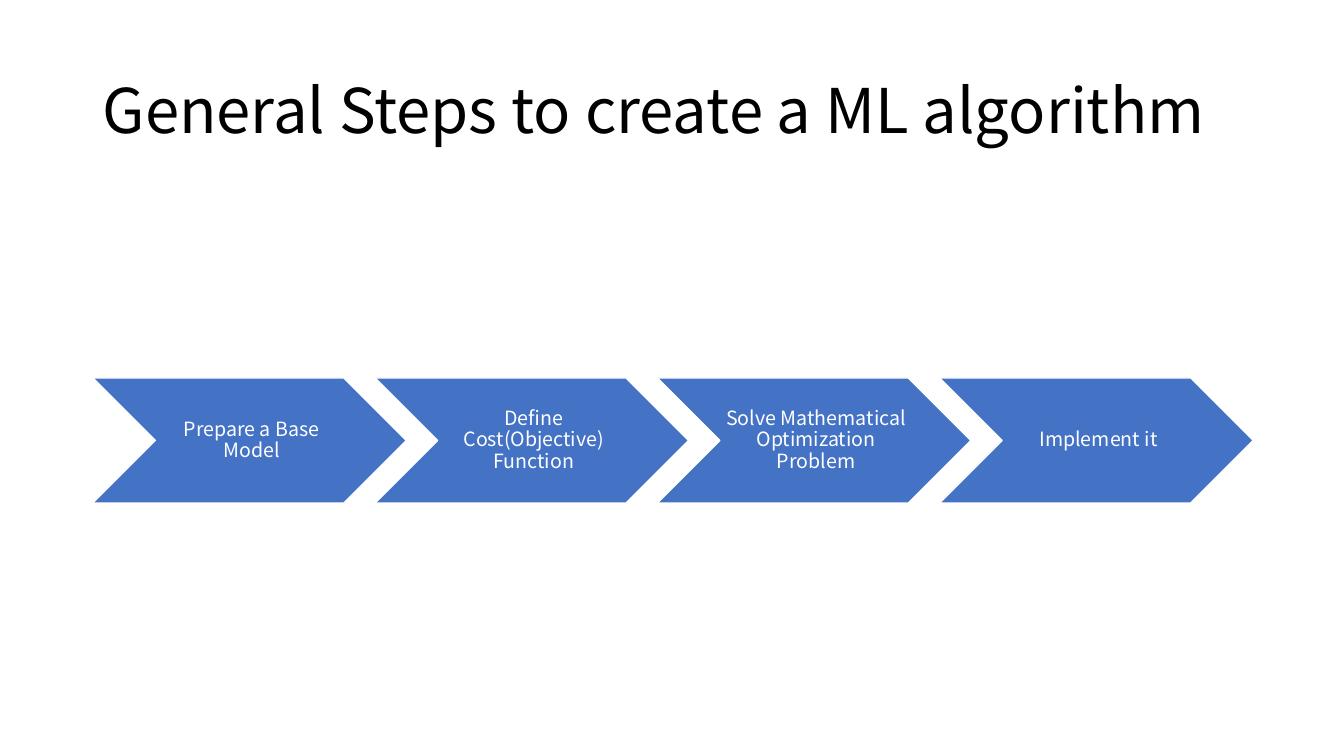
import pptx
import pptx.util
import pptx.dml.color
import pptx.enum.shapes
import pptx.enum.text

Inches = pptx.util.Inches
BLACK = pptx.dml.color.RGBColor(0x00, 0x00, 0x00)
WHITE = pptx.dml.color.RGBColor(0xFF, 0xFF, 0xFF)
BLUE = pptx.dml.color.RGBColor(0x44, 0x72, 0xC4)
FONT = "Noto Sans CJK JP"

STEPS = [
    "Prepare a Base Model",
    "Define Cost(Objective) Function",
    "Solve Mathematical Optimization Problem",
    "Implement it",
]
LEFT = 0.92
STEP_WIDTH = 3.11
STEP_PITCH = 2.8


def write_text(shape, text, size, color, alignment):
    frame = shape.text_frame
    frame.text = text
    frame.word_wrap = True
    frame.vertical_anchor = pptx.enum.text.MSO_ANCHOR.MIDDLE
    para = frame.paragraphs[0]
    para.alignment = alignment
    para.line_spacing = 0.9
    font = para.runs[0].font
    font.name = FONT
    font.size = pptx.util.Pt(size)
    font.color.rgb = color


deck = pptx.Presentation()
deck.slide_width = Inches(13.33)
deck.slide_height = Inches(7.5)
page = deck.slides.add_slide(deck.slide_layouts[6])

title = page.shapes.add_textbox(Inches(LEFT), Inches(0.4), Inches(11.5), Inches(1.45))
write_text(title, "General Steps to create a ML algorithm", 44, BLACK,
           pptx.enum.text.PP_ALIGN.LEFT)

for index, step in enumerate(STEPS):
    chevron = page.shapes.add_shape(
        pptx.enum.shapes.MSO_SHAPE.CHEVRON,
        Inches(LEFT + index * STEP_PITCH), Inches(3.75), Inches(STEP_WIDTH), Inches(1.24))
    chevron.shadow.inherit = False
    chevron.fill.solid()
    chevron.fill.fore_color.rgb = BLUE
    chevron.line.color.rgb = WHITE
    chevron.line.width = pptx.util.Pt(1)
    write_text(chevron, step, 14, WHITE, pptx.enum.text.PP_ALIGN.CENTER)
    frame = chevron.text_frame
    frame.margin_left = Inches(0.06)
    frame.margin_right = frame.margin_top = frame.margin_bottom = Inches(0.02)

deck.save("out.pptx")
